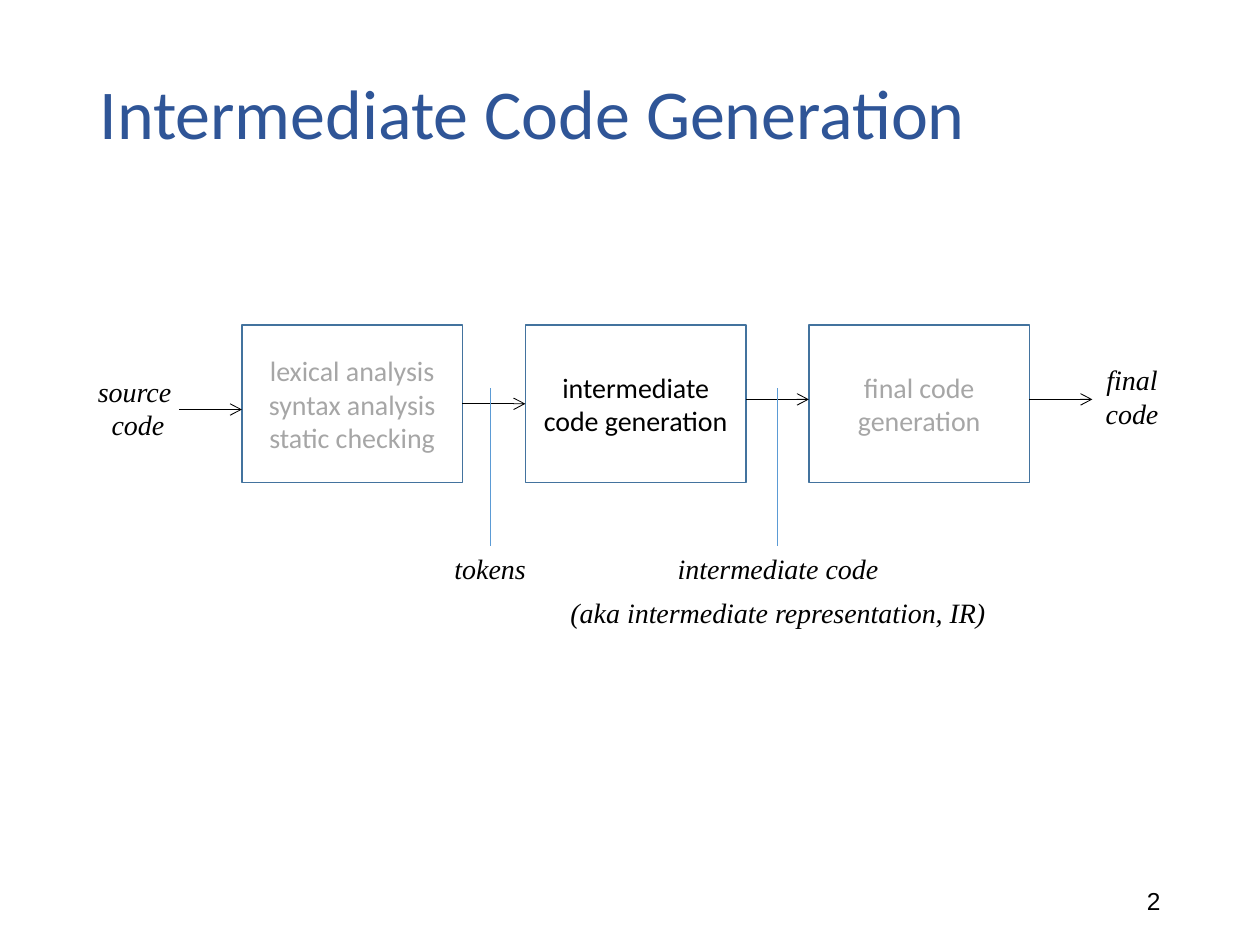
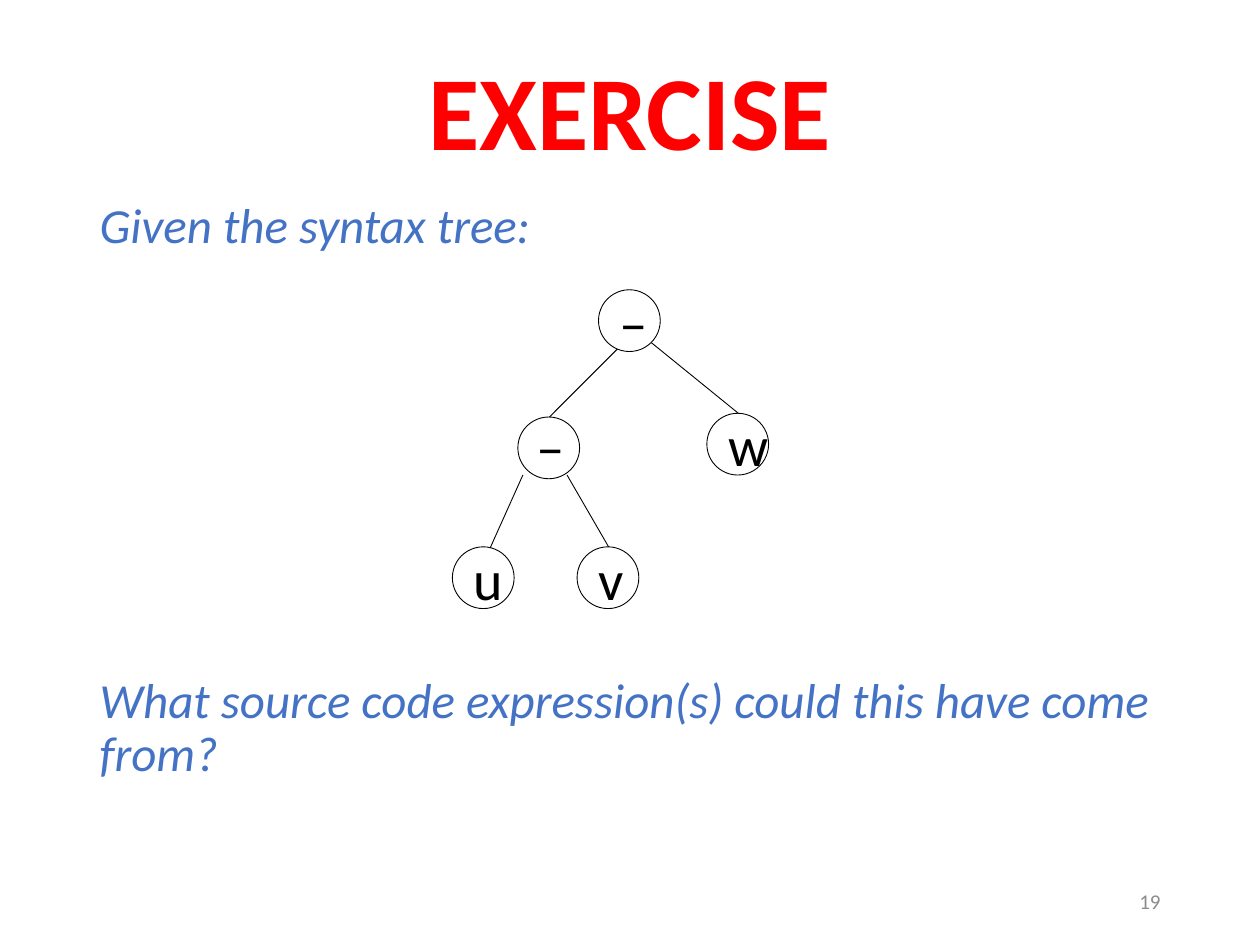
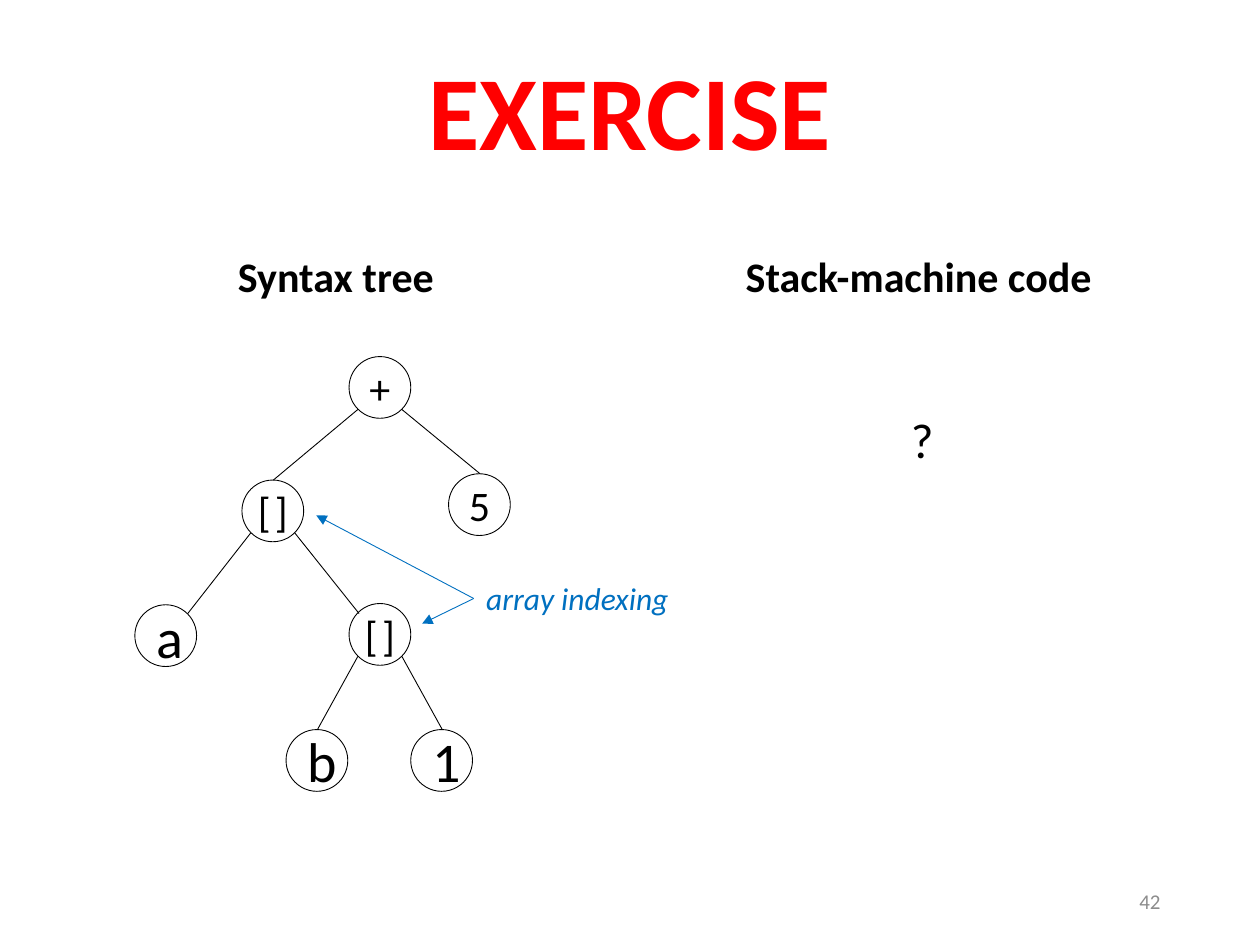
"""Builds three lecture slides on intermediate code generation and syntax trees."""
from dataclasses import dataclass, replace
from typing import Optional, Sequence

import pptx
import pptx.dml.color
import pptx.enum.shapes
import pptx.enum.text
import pptx.oxml
import pptx.oxml.ns
import pptx.util
from pptx.util import Inches

ALIGN = pptx.enum.text.PP_ALIGN
ANCHOR = pptx.enum.text.MSO_ANCHOR
AUTO_SIZE = pptx.enum.text.MSO_AUTO_SIZE
SHAPE = pptx.enum.shapes.MSO_SHAPE

BLACK, GREY, PAGE_GREY = "000000", "A6A6A6", "8C8C8C"
NAVY, BLUE, RED = "2F5597", "4472C4", "FF0000"
BOX_BLUE, POINTER_BLUE, NOTE_BLUE = "43739E", "5B9BD5", "0070C0"

TITLE_AREA = (0.69, 0.4, 8.62, 1.05)
BODY_AREA = (0.69, 1.55, 8.62, 5.4)
PAGE_AREA = (7.06, 6.95, 2.25, 0.4)

Area = tuple[float, float, float, float]
Point = tuple[float, float]

NODE_SIZE = 0.49
TOP: Point = (0.25, 0)
TOP_LEFT: Point = (0.08, 0.08)
TOP_RIGHT: Point = (0.42, 0.07)
BOTTOM_LEFT: Point = (0.07, 0.42)
BOTTOM_RIGHT: Point = (0.42, 0.42)


@dataclass(frozen=True)
class Style:
    """Look of a piece of text."""
    size: float
    color: str = BLACK
    font: str = "Calibri"
    bold: bool = False
    italic: bool = False
    align: ALIGN = ALIGN.LEFT


@dataclass(frozen=True)
class Run:
    """Text with its own size."""
    text: str
    size: float


@dataclass(frozen=True)
class Phase:
    """One compiler phase in the pipeline."""
    lines: Sequence[str]
    color: str


@dataclass(frozen=True)
class Caption:
    """Free label that does not wrap."""
    lines: Sequence[str]
    area: Area
    gap: float = 0


@dataclass(frozen=True)
class Node:
    """Circle of a syntax tree."""
    left: float
    top: float
    runs: Sequence[Run] = ()
    narrow_inset: bool = False

    def at(self, offset: Point) -> Point:
        """Return the slide point at an offset from the node's corner."""
        return self.left + offset[0], self.top + offset[1]


@dataclass(frozen=True)
class Edge:
    """Branch between two named nodes."""
    parent: str
    child: str
    start: Point
    end: Point = TOP


PAGE_STYLE = Style(12, PAGE_GREY, align=ALIGN.RIGHT)
EXERCISE_STYLE = Style(60, RED, bold=True, align=ALIGN.CENTER)
TERM_STYLE = Style(16, font="Times New Roman", italic=True, align=ALIGN.CENTER)
HEADING_STYLE = Style(24, bold=True)


def rgb(color: str) -> pptx.dml.color.RGBColor:
    """Turn a hex string into a colour."""
    return pptx.dml.color.RGBColor.from_string(color)


def box(area: Area) -> list:
    """Turn an area in inches into lengths."""
    return [Inches(value) for value in area]


def add_run(paragraph, text: str, style: Style) -> None:
    """Append one formatted run."""
    run = paragraph.add_run()
    run.text = text
    run.font.name = style.font
    run.font.size = pptx.util.Pt(style.size)
    run.font.bold = style.bold
    run.font.italic = style.italic
    run.font.color.rgb = rgb(style.color)


def write(frame, lines: Sequence[str], style: Style) -> None:
    """Write one paragraph per line."""
    for index, line in enumerate(lines):
        paragraph = frame.add_paragraph() if index else frame.paragraphs[0]
        paragraph.alignment = style.align
        add_run(paragraph, line, style)


def place(placeholder, area: Area, lines: Sequence[str], style: Style) -> None:
    """Move a placeholder and fill it with plain paragraphs."""
    placeholder.left, placeholder.top, placeholder.width, placeholder.height = box(area)
    frame = placeholder.text_frame
    frame.auto_size = AUTO_SIZE.NONE
    write(frame, lines, style)
    for paragraph in frame.paragraphs:
        paragraph.line_spacing = 0.9


def start_slide(deck, layout: int, title: str, title_style: Style,
                page: str, page_style: Style = PAGE_STYLE):
    """Add a slide with its title and page number."""
    slide = deck.slides.add_slide(deck.slide_layouts[layout])
    place(slide.shapes.title, TITLE_AREA, [title], title_style)
    slide.shapes.title.text_frame.vertical_anchor = ANCHOR.MIDDLE
    number = add_text(slide, PAGE_AREA, [page], page_style, wrap=True)
    number.vertical_anchor = ANCHOR.MIDDLE
    return slide


def add_text(slide, area: Area, lines: Sequence[str], style: Style, wrap: bool = False):
    """Add a text box and return its frame."""
    frame = slide.shapes.add_textbox(*box(area)).text_frame
    frame.word_wrap = wrap
    frame.auto_size = AUTO_SIZE.NONE if wrap else AUTO_SIZE.SHAPE_TO_FIT_TEXT
    write(frame, lines, style)
    return frame


def add_outline(slide, kind: SHAPE, area: Area, color: str, width: float):
    """Add an unfilled shape."""
    shape = slide.shapes.add_shape(kind, *box(area))
    shape.shadow.inherit = False
    shape.fill.background()
    shape.line.color.rgb = rgb(color)
    shape.line.width = pptx.util.Pt(width)
    shape.text_frame.word_wrap = True
    shape.text_frame.vertical_anchor = ANCHOR.MIDDLE
    return shape


def add_line(slide, start: Point, end: Point, color: str = BLACK,
             arrow: Optional[str] = None):
    """Add a thin straight line, with an arrowhead if one is named."""
    line = slide.shapes.add_connector(
        pptx.enum.shapes.MSO_CONNECTOR.STRAIGHT, *box((*start, *end)))
    line.line.color.rgb = rgb(color)
    line.line.width = pptx.util.Pt(0.5)
    if arrow:
        head = pptx.oxml.parse_xml(
            f'<a:tailEnd {pptx.oxml.ns.nsdecls("a")} type="{arrow}"/>')
        line.line._get_or_add_ln().append(head)
    line._element.spPr.append(
        pptx.oxml.parse_xml(f'<a:effectLst {pptx.oxml.ns.nsdecls("a")}/>'))
    return line


def add_tree(slide, nodes: dict[str, Node], edges: Sequence[Edge]) -> None:
    """Draw the nodes of a syntax tree and its branches."""
    for node in nodes.values():
        circle = add_outline(slide, SHAPE.OVAL,
                             (node.left, node.top, NODE_SIZE, NODE_SIZE), BLACK, 0.5)
        frame = circle.text_frame
        if node.narrow_inset:
            frame.margin_left = frame.margin_right = 0
        frame.paragraphs[0].alignment = ALIGN.CENTER
        for run in node.runs:
            add_run(frame.paragraphs[0], run.text, Style(run.size))
    for edge in edges:
        add_line(slide, nodes[edge.parent].at(edge.start), nodes[edge.child].at(edge.end))


def build_pipeline(deck) -> None:
    """Show where intermediate code generation sits in a compiler."""
    slide = start_slide(deck, 5, "Intermediate Code Generation", Style(40, NAVY),
                        "2", Style(14, font="Arial", align=ALIGN.RIGHT))
    phases = [
        Phase(["lexical analysis", "syntax analysis", "static checking"], GREY),
        Phase(["intermediate code generation"], BLACK),
        Phase(["final code generation"], GREY),
    ]
    first_left, pitch, gap = 1.92, 2.25, 0.5
    boxes = []
    for index, phase in enumerate(phases):
        area = (first_left + index * pitch, 2.58, pitch - gap, 1.25)
        phase_box = add_outline(slide, SHAPE.RECTANGLE, area, BOX_BLUE, 1)
        write(phase_box.text_frame, phase.lines,
              Style(16, phase.color, align=ALIGN.CENTER))
        boxes.append(phase_box)

    flows = []
    for index, y in enumerate((3.25, 3.21, 3.17, 3.17)):
        end = first_left + index * pitch
        flows.append(add_line(slide, (end - gap, y), (end, y), arrow="arrow"))
    flows[1].begin_connect(boxes[0], 3)
    flows[1].end_connect(boxes[1], 1)

    captions = [
        Caption(["source ", "code"], (0.67, 2.92, 0.85, 0.64)),
        Caption(["final", "code"], (8.67, 2.83, 0.63, 0.64)),
        Caption(["tokens"], (3.5, 4.33, 0.78, 0.37)),
        Caption(["intermediate code", "(aka intermediate representation, IR)"],
                (4.4, 4.33, 3.55, 0.72), gap=6),
    ]
    for caption in captions:
        frame = add_text(slide, caption.area, caption.lines, TERM_STYLE)
        frame.paragraphs[0].space_after = pptx.util.Pt(caption.gap)
    for x in (6.17, 3.89):
        add_line(slide, (x, 3.08), (x, 4.33), POINTER_BLUE)


def build_source_exercise(deck) -> None:
    """Ask which source expression gives a syntax tree."""
    slide = start_slide(deck, 1, "EXERCISE", EXERCISE_STYLE, "19")
    question = slide.placeholders[1]
    place(question, BODY_AREA,
          ["Given the syntax tree:",
           "What source code expression(s) could this have come from?"],
          Style(28, BLUE, italic=True))
    for paragraph, before in zip(question.text_frame.paragraphs, (10, 236)):
        paragraph.space_before = pptx.util.Pt(before)
        paragraph.space_after = pptx.util.Pt(5)
        properties = paragraph._p.get_or_add_pPr()
        properties.set("marL", "0")
        properties.set("indent", "0")
        properties.append(
            pptx.oxml.parse_xml(f'<a:buNone {pptx.oxml.ns.nsdecls("a")}/>'))

    nodes = {
        "outer": Node(4.75, 2.3, [Run("‒", 32)]),
        "w": Node(5.61, 3.28, [Run("w", 32)]),
        "inner": Node(4.11, 3.31),
        "u": Node(3.59, 4.34, [Run("u", 32)]),
        "v": Node(4.58, 4.34, [Run("v", 32)]),
    }
    add_tree(slide, nodes, [
        Edge("outer", "inner", (0.15, 0.47)),
        Edge("outer", "w", BOTTOM_RIGHT),
        Edge("inner", "u", (0.04, 0.46), (0.3, 0.01)),
        Edge("inner", "v", (0.39, 0.46)),
    ])
    add_text(slide, (4.16, 3.22, 0.43, 0.64), ["‒"], Style(32))


def build_stack_exercise(deck) -> None:
    """Ask for the stack-machine code of a syntax tree."""
    slide = start_slide(deck, 5, "EXERCISE", EXERCISE_STYLE, "42")
    add_text(slide, (1.79, 1.94, 1.77, 0.5), ["Syntax tree"], HEADING_STYLE)
    add_text(slide, (5.82, 1.94, 2.99, 0.5), ["Stack-machine code"], HEADING_STYLE)
    answer = add_text(slide, (6.18, 3.25, 2.28, 0.63), ["?"],
                      Style(28, align=ALIGN.CENTER), wrap=True).paragraphs[0]
    answer.line_spacing = 0.9
    answer.space_before = pptx.util.Pt(3)

    opening, closing = Run("[", 24), Run("]", 24)
    nodes = {
        "plus": Node(2.77, 2.83, [Run("+", 24)], True),
        "five": Node(3.56, 3.76, [Run("5", 24)], True),
        "outer index": Node(1.92, 3.81, [opening, Run(" ", 10), closing], True),
        "a": Node(1.07, 4.8, [Run("a", 32)]),
        "inner index": Node(2.77, 4.79, [opening, Run(" ", 11), closing], True),
        "b": Node(2.27, 5.79, [Run("b", 32)]),
        "one": Node(3.26, 5.79, [Run("1", 32)]),
    }
    add_tree(slide, nodes, [
        Edge("plus", "outer index", BOTTOM_LEFT),
        Edge("plus", "five", BOTTOM_RIGHT),
        Edge("outer index", "a", BOTTOM_LEFT, TOP_RIGHT),
        Edge("outer index", "inner index", BOTTOM_RIGHT, TOP_LEFT),
        Edge("inner index", "b", BOTTOM_LEFT),
        Edge("inner index", "one", BOTTOM_RIGHT),
    ])
    note_style = replace(HEADING_STYLE, size=18, color=NOTE_BLUE, bold=False, italic=True)
    add_text(slide, (3.76, 4.55, 1.65, 0.4), ["array indexing"], note_style)
    for target in ((3.35, 4.95), (2.51, 4.09)):
        add_line(slide, (3.76, 4.75), target, NOTE_BLUE, arrow="triangle")


def main() -> None:
    """Build and save the deck."""
    deck = pptx.Presentation()
    deck.slide_width, deck.slide_height = Inches(10), Inches(7.5)
    build_pipeline(deck)
    build_source_exercise(deck)
    build_stack_exercise(deck)
    deck.save("out.pptx")


if __name__ == "__main__":
    main()
